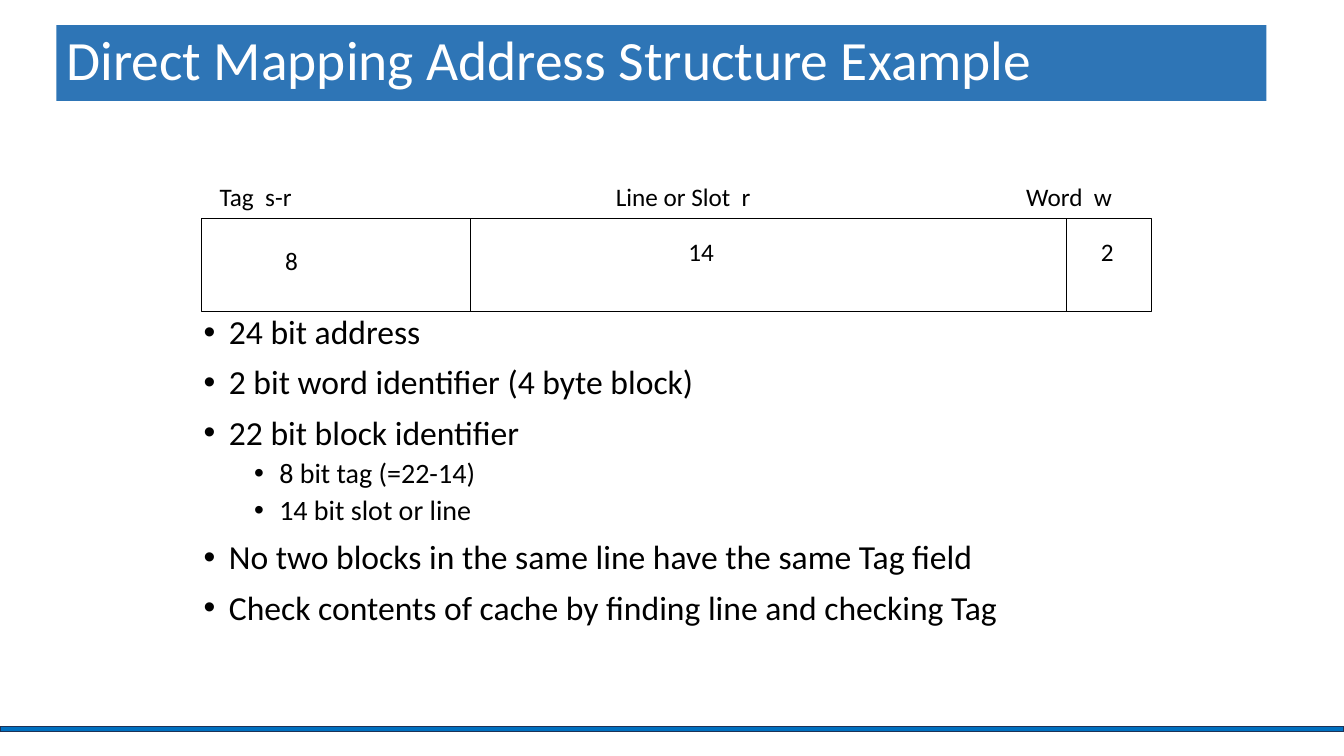
from lxml.etree import SubElement
from pptx import Presentation
from pptx.dml.color import RGBColor
from pptx.enum.shapes import MSO_CONNECTOR, MSO_SHAPE
from pptx.enum.text import MSO_ANCHOR, MSO_AUTO_SIZE, PP_ALIGN
from pptx.oxml.ns import qn
from pptx.util import Inches, Pt

BLACK = "000000"
ADDRESS_TOP, ADDRESS_HEIGHT = 2.17, 0.92
FIELD_DIVIDERS = [4.67, 10.58]
# (text, left, top, width)
FIELD_TEXTS = [
    ("Tag  s-r", 2.08, 1.75, 0.92),
    ("Line or Slot  r", 6.01, 1.75, 1.56),
    ("Word  w", 10.08, 1.75, 1.06),
    ("8", 2.73, 2.38, 0.33),
    ("14", 6.73, 2.3, 0.46),
    ("2", 10.82, 2.3, 0.33),
]
# (level, text)
POINTS = [
    (0, "24 bit address"),
    (0, "2 bit word identifier (4 byte block)"),
    (0, "22 bit block identifier"),
    (1, "8 bit tag (=22-14)"),
    (1, "14 bit slot or line"),
    (0, "No two blocks in the same line have the same Tag field"),
    (0, "Check contents of cache by finding line and checking Tag"),
]


def color(hex_string):
    return RGBColor.from_string(hex_string)


def place(shape, left, top, width, height):
    shape.left, shape.top = Inches(left), Inches(top)
    shape.width, shape.height = Inches(width), Inches(height)


def format_runs(paragraph, size, text_color=BLACK):
    for run in paragraph.runs:
        run.font.name = "Calibri"
        run.font.size = Pt(size)
        run.font.color.rgb = color(text_color)


def add_box(slide, left, top, width, height, line_color, line_width, fill=None):
    box = slide.shapes.add_shape(MSO_SHAPE.RECTANGLE, Inches(left), Inches(top),
                                 Inches(width), Inches(height))
    box.shadow.inherit = False
    if fill:
        box.fill.solid()
        box.fill.fore_color.rgb = color(fill)
    else:
        box.fill.background()
    box.line.color.rgb = color(line_color)
    box.line.width = Pt(line_width)


def add_divider(slide, x):
    divider = slide.shapes.add_connector(
        MSO_CONNECTOR.STRAIGHT, Inches(x), Inches(ADDRESS_TOP),
        Inches(x), Inches(ADDRESS_TOP + ADDRESS_HEIGHT))
    divider.line.color.rgb = color(BLACK)
    divider.line.width = Pt(0.75)
    SubElement(divider._element.spPr, qn("a:effectLst"))


def add_field_text(slide, text, left, top, width):
    field = slide.shapes.add_textbox(Inches(left), Inches(top), Inches(width), Inches(0.4))
    frame = field.text_frame
    frame.text = text
    frame.word_wrap = False
    frame.auto_size = MSO_AUTO_SIZE.SHAPE_TO_FIT_TEXT
    format_runs(frame.paragraphs[0], 18)


def fill_title(title):
    place(title, 0.56, 0.25, 12, 0.75)
    title.fill.solid()
    title.fill.fore_color.rgb = color("2E75B6")
    frame = title.text_frame
    frame.text = "Direct Mapping Address Structure Example"
    frame.auto_size = MSO_AUTO_SIZE.NONE
    frame.vertical_anchor = MSO_ANCHOR.MIDDLE
    heading = frame.paragraphs[0]
    heading.alignment = PP_ALIGN.LEFT
    heading.line_spacing = 0.9
    format_runs(heading, 39.6, "FFFFFF")


def add_bullet(paragraph, level):
    properties = paragraph._p.get_or_add_pPr()
    properties.set("marL", str(Inches(0.25 + 0.5 * level)))
    properties.set("indent", str(Inches(-0.25)))
    SubElement(properties, qn("a:buFont"), typeface="Arial")
    SubElement(properties, qn("a:buChar"), char="•")


def fill_points(body):
    place(body, 1.92, 3.08, 9.19, 3.54)
    frame = body.text_frame
    frame.text = "\n".join(text for _, text in POINTS)
    frame.auto_size = MSO_AUTO_SIZE.NONE
    for index, (paragraph, (level, _)) in enumerate(zip(frame.paragraphs, POINTS)):
        paragraph.level = level
        add_bullet(paragraph, level)
        paragraph.line_spacing = 0.9
        paragraph.space_before = Pt((5 if level else 10) if index else 0)
        format_runs(paragraph, 20 if level else 24)


def main():
    presentation = Presentation()
    presentation.slide_width, presentation.slide_height = Inches(13.33), Inches(7.5)
    slide = presentation.slides.add_slide(presentation.slide_layouts[1])

    # Title and footer bar
    fill_title(slide.shapes.title)
    add_box(slide, 0, 7.21, 13.33, 0.05, "1E3256", 1, fill="0070C0")

    # Address layout
    add_box(slide, 2, ADDRESS_TOP, 9.42, ADDRESS_HEIGHT, BLACK, 0.75)
    for x in FIELD_DIVIDERS:
        add_divider(slide, x)
    for field in FIELD_TEXTS:
        add_field_text(slide, *field)

    # Explanation
    fill_points(slide.placeholders[1])

    presentation.save("out.pptx")


if __name__ == "__main__":
    main()
